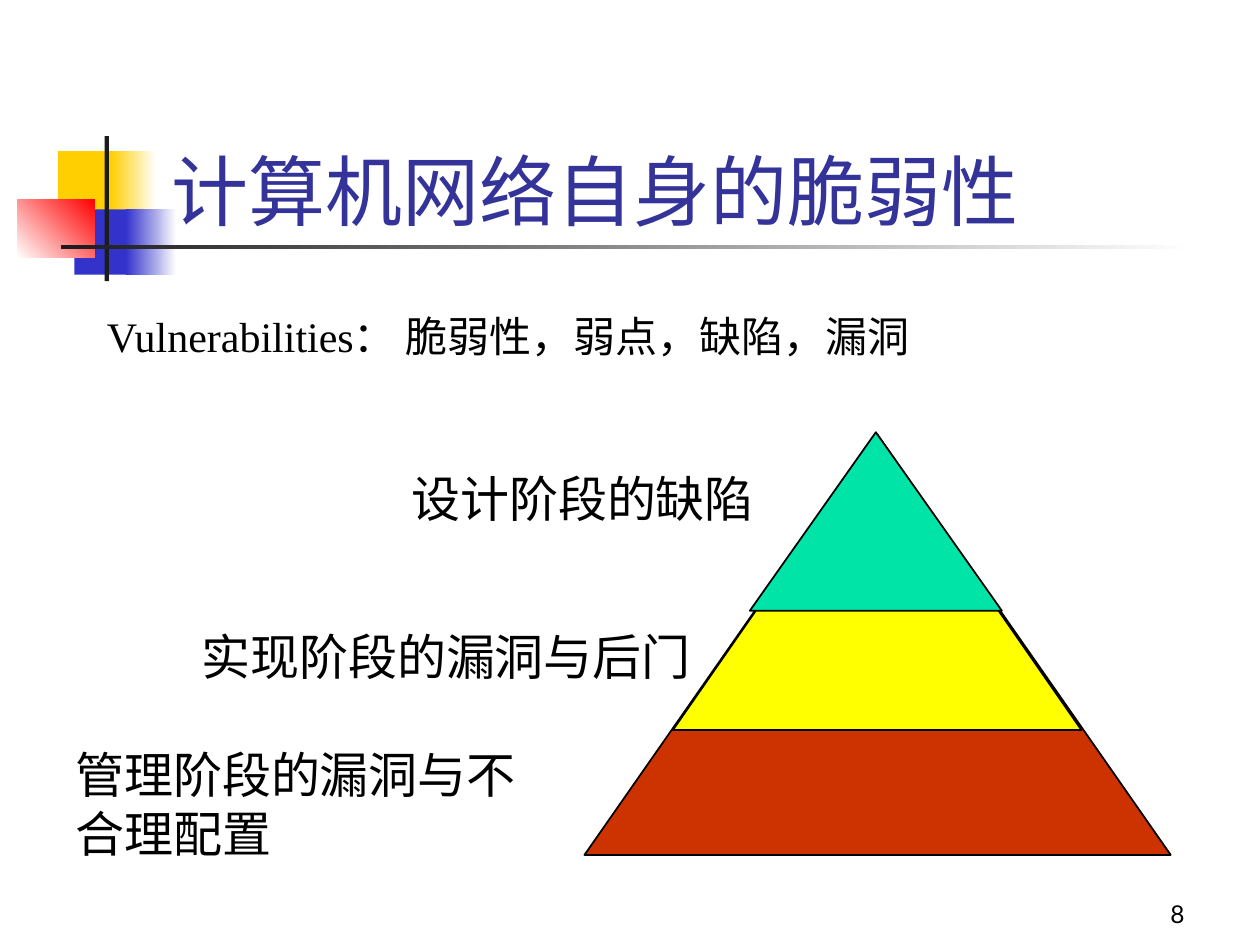
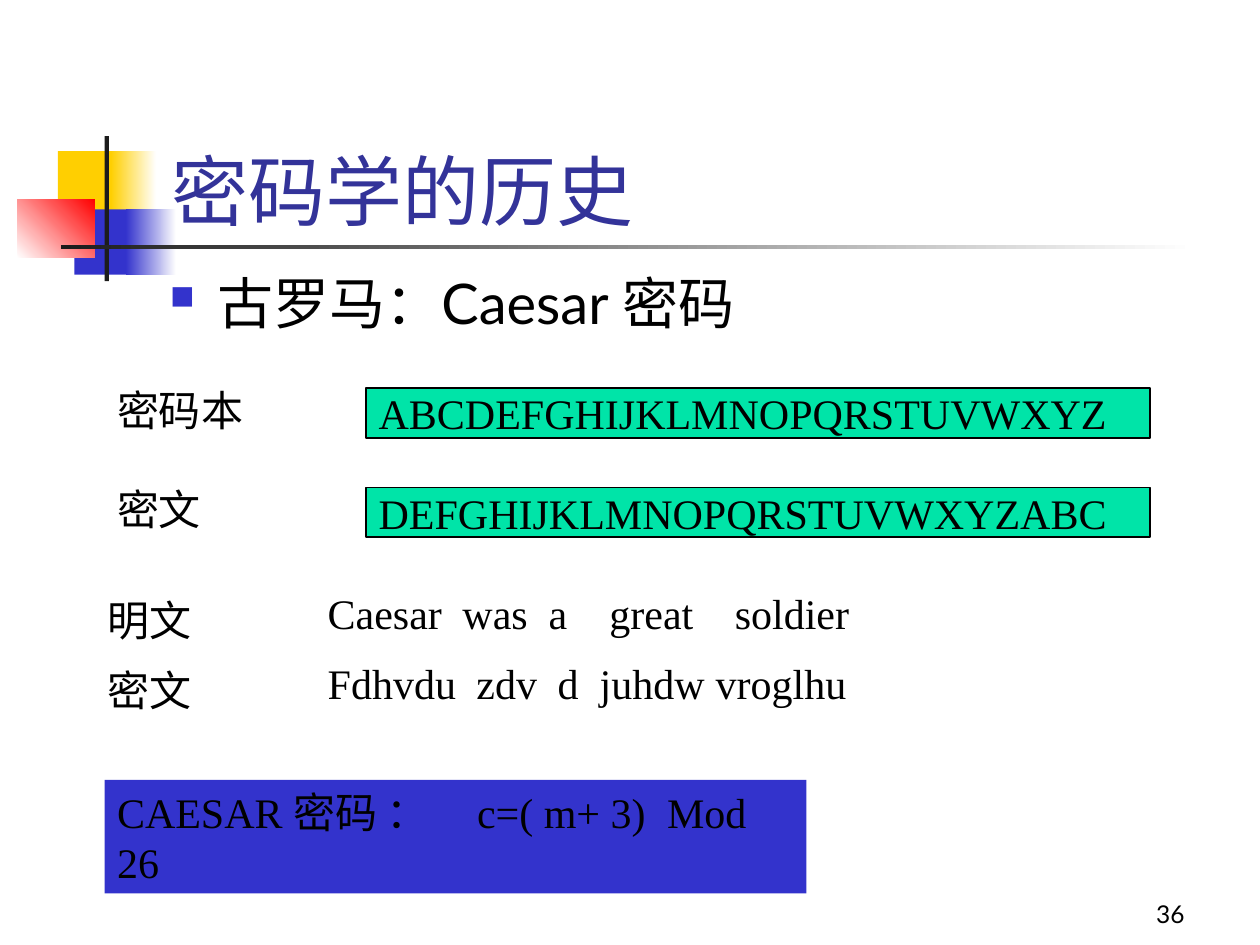
from typing import NamedTuple

from lxml import etree
from pptx import Presentation
from pptx.dml.color import RGBColor
from pptx.enum.shapes import MSO_SHAPE
from pptx.enum.text import MSO_ANCHOR, PP_ALIGN
from pptx.oxml.ns import qn
from pptx.util import Pt

RECTANGLE = MSO_SHAPE.RECTANGLE
TRIANGLE = MSO_SHAPE.ISOSCELES_TRIANGLE
TOP, MIDDLE, BOTTOM = MSO_ANCHOR.TOP, MSO_ANCHOR.MIDDLE, MSO_ANCHOR.BOTTOM
LEFT, RIGHT = PP_ALIGN.LEFT, PP_ALIGN.RIGHT

BLACK = RGBColor(0x00, 0x00, 0x00)
WHITE = RGBColor(0xFF, 0xFF, 0xFF)
CHARCOAL = RGBColor(0x1C, 0x1C, 0x1C)
GOLD = RGBColor(0xFF, 0xCF, 0x01)
BLUE = RGBColor(0x33, 0x33, 0xCC)
NAVY = RGBColor(0x33, 0x33, 0x99)
RED = RGBColor(0xFF, 0x00, 0x00)
RUST = RGBColor(0xCC, 0x33, 0x00)
YELLOW = RGBColor(0xFF, 0xFF, 0x00)
MINT = RGBColor(0x00, 0xE4, 0xA8)

SANS = "Lato"
SERIF = "Times New Roman"


class Box(NamedTuple):
    left: float
    top: float
    width: float
    height: float

    def inside(self, x, y, width, height):
        return Box(self.left + x, self.top + y, width, height)

    def lengths(self):
        return [Pt(value) for value in self]


MOTIF = Box(10, 77.8, 673, 83)
TITLE = Box(90.7, 48.2, 613.4, 90)
PAGE_NUMBER = Box(534.2, 498.2, 149.8, 36)


def add_tabs(paragraph, stops):
    tab_list = etree.SubElement(paragraph._p.get_or_add_pPr(), qn("a:tabLst"))
    for stop in stops:
        etree.SubElement(tab_list, qn("a:tab"), pos=str(int(Pt(stop))), algn="l")


def add_square_bullet(paragraph, color, indent):
    properties = paragraph._p.get_or_add_pPr()
    properties.set("marL", str(int(Pt(indent))))
    properties.set("indent", str(-int(Pt(indent))))
    bullet_color = etree.SubElement(properties, qn("a:buClr"))
    etree.SubElement(bullet_color, qn("a:srgbClr"), val=str(color))
    etree.SubElement(properties, qn("a:buSzPct"), val="60000")
    etree.SubElement(properties, qn("a:buChar"), char="■")


def write(shape, text, size, font=SERIF, color=BLACK, anchor=TOP, align=LEFT, stops=()):
    frame = shape.text_frame
    frame.word_wrap = True
    frame.vertical_anchor = anchor
    paragraph = frame.paragraphs[0]
    paragraph.alignment = align
    if stops:
        add_tabs(paragraph, stops)
    run = paragraph.add_run()
    run.text = text
    run.font.size = Pt(size)
    run.font.name = font
    run.font.color.rgb = color
    return paragraph


def add_text(slide, box, text, size, **style):
    return write(slide.shapes.add_textbox(*box.lengths()), text, size, **style)


def add_block(slide, box, fill, kind=RECTANGLE, outlined=False):
    block = slide.shapes.add_shape(kind, *box.lengths())
    block.shadow.inherit = False
    block.fill.solid()
    block.fill.fore_color.rgb = fill
    if outlined:
        block.line.color.rgb = BLACK
        block.line.width = Pt(1)
    else:
        block.line.fill.background()
    return block


def add_fade(slide, box, start, end, angle=0):
    fade = add_block(slide, box, start)
    fade.fill.gradient()
    fade.fill.gradient_angle = angle
    for stop, color in zip(fade.fill.gradient_stops, (start, end)):
        stop.color.rgb = color


def add_motif(slide, box):
    add_block(slide, box.inside(23.1, 8.6, 34.6, 37.4), GOLD)
    add_fade(slide, box.inside(53.4, 8.6, 25.9, 37.4), GOLD, WHITE)
    add_block(slide, box.inside(32.5, 41.8, 33.1, 37.4), BLUE)
    add_fade(slide, box.inside(62, 41.8, 28.8, 37.4), BLUE, WHITE)
    add_fade(slide, box.inside(0, 36, 44.2, 33.6), WHITE, RED, angle=45)
    add_block(slide, box.inside(49.8, 0, 2.5, 82.8), CHARCOAL)
    add_fade(slide, box.inside(24.8, 62.2, 648, 2.6), CHARCOAL, WHITE)


def add_base_slide(deck, title, number):
    slide = deck.slides.add_slide(deck.slide_layouts[6])
    add_motif(slide, MOTIF)
    add_text(slide, PAGE_NUMBER, number, 14, font=SANS, anchor=BOTTOM, align=RIGHT)
    add_text(slide, TITLE, title, 44, font=SANS, color=NAVY, anchor=BOTTOM)
    return slide


def add_pyramid(slide, box):
    tiers = [
        ("管理阶段的漏洞与不合理配置", (0, 175, 288, 75), RUST, (298, 1.5, 335, 240)),
        ("实现阶段的漏洞与后门", (72, 107.3, 306, 41), YELLOW, (348.5, 2.2, 233.5, 168)),
        ("设计阶段的缺陷", (192, 17.3, 216, 41), MINT, (392.5, 0, 144, 102)),
    ]
    for label, label_place, fill, tier_place in tiers:
        add_text(slide, box.inside(*label_place), label, 28)
        add_block(slide, box.inside(*tier_place), fill, TRIANGLE, outlined=True)


def add_codebook(slide, box):
    rows = [
        ("密码本", "ABCDEFGHIJKLMNOPQRSTUVWXYZ"),
        ("密文", "DEFGHIJKLMNOPQRSTUVWXYZABC"),
    ]
    for index, (label, alphabet) in enumerate(rows):
        y = index * 56.8
        strip = add_block(slide, box.inside(149.5, y + 5.8, 448, 28.4), MINT, outlined=True)
        write(strip, alphabet, 24, anchor=MIDDLE)
        add_text(slide, box.inside(0, y, 138, 36), label, 24)


def add_example(slide, box):
    rows = [
        ("明文", "Caesar\twas\ta\tgreat\tsoldier", (77, 126.3, 161, 232.6)),
        ("密文", "Fdhvdu\tzdv\td\tjuhdw\tvroglhu", (85, 131.4, 155.4, 221.7)),
    ]
    for index, (label, sentence, stops) in enumerate(rows):
        y = index * 39.8
        add_text(slide, box.inside(0, y, 90.7, 36), label, 24)
        add_text(slide, box.inside(126, y, 330, 28), sentence, 24, anchor=MIDDLE, stops=stops)


def add_formula(slide, box):
    panel = add_block(slide, box, BLUE)
    write(panel, "CAESAR 密码 ：\tc=( m+ 3)\tMod 26", 24, stops=(205.7, 314.3))


def build_vulnerabilities(deck):
    slide = add_base_slide(deck, "计算机网络自身的脆弱性", "8")
    add_pyramid(slide, Box(36, 247, 633, 250))
    add_text(slide, Box(54, 174.2, 629, 36), "Vulnerabilities： 脆弱性，弱点，缺陷，漏洞", 24)


def build_history(deck):
    slide = add_base_slide(deck, "密码学的历史", "36")
    topic = add_text(slide, Box(90, 149.8, 612, 57), "古罗马：Caesar 密码", 32, font=SANS)
    add_square_bullet(topic, BLUE, 27)
    add_codebook(slide, Box(59.8, 216, 598, 93))
    add_example(slide, Box(54.2, 336.2, 456, 76))
    add_formula(slide, Box(59.8, 445.7, 401, 64.8))


def main():
    deck = Presentation()
    deck.slide_width, deck.slide_height = Pt(720), Pt(540)
    build_vulnerabilities(deck)
    build_history(deck)
    deck.save("out.pptx")


if __name__ == "__main__":
    main()
